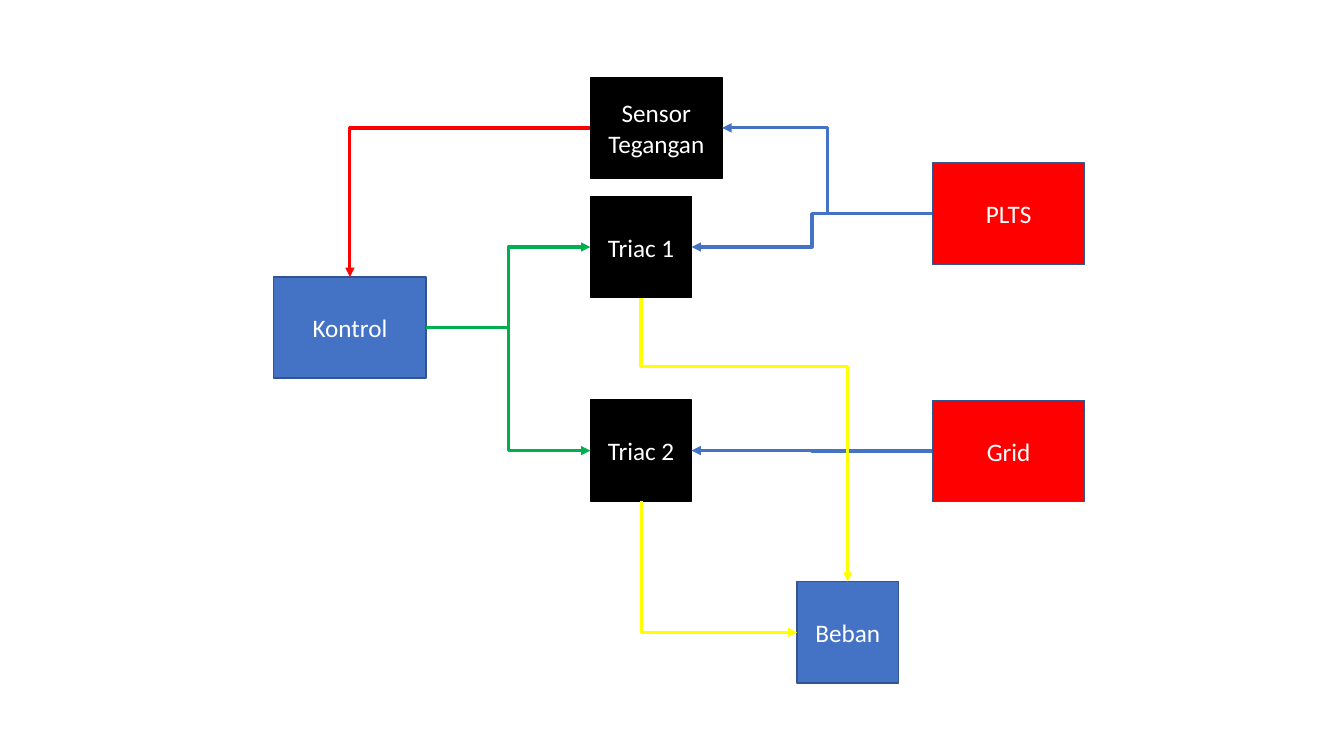
from lxml.etree import SubElement
from pptx import Presentation
from pptx.dml.color import RGBColor
from pptx.enum.shapes import MSO_CONNECTOR, MSO_SHAPE
from pptx.enum.text import MSO_ANCHOR, PP_ALIGN
from pptx.oxml.ns import qn
from pptx.util import Cm, Pt

BLUE, NAVY, BLACK, RED = "4472C4", "325491", "000000", "FF0000"
GREEN, YELLOW, WHITE = "00B050", "FFFF00", "FFFFFF"
SIDE, WIDE = 2.55, 3.84
TRIAC_LEFT, SOURCE_LEFT = 14.88, 23.5

# label: left, top, width (cm), fill, outline
BLOCKS = {
    "Kontrol": (6.9, 6.98, WIDE, BLUE, NAVY),
    "Triac 1": (TRIAC_LEFT, 4.95, SIDE, BLACK, BLACK),
    "Triac 2": (TRIAC_LEFT, 10.08, SIDE, BLACK, BLACK),
    "Sensor Tegangan": (TRIAC_LEFT, 1.95, 3.32, BLACK, BLACK),
    "Grid": (SOURCE_LEFT, 10.09, WIDE, RED, NAVY),
    "PLTS": (SOURCE_LEFT, 4.11, WIDE, RED, NAVY),
    "Beban": (20.09, 14.66, SIDE, BLUE, NAVY),
}

# from, side, to, side, colour, position of the middle bend (None: halfway)
WIRES = [
    ("PLTS", "left", "Triac 1", "right", BLUE, None),
    ("PLTS", "left", "Sensor Tegangan", "right", BLUE, None),
    ("Grid", "left", "Triac 2", "right", BLUE, None),
    ("Kontrol", "right", "Triac 1", "left", GREEN, None),
    ("Kontrol", "right", "Triac 2", "left", GREEN, None),
    ("Sensor Tegangan", "left", "Kontrol", "top", RED, None),
    ("Triac 1", "bottom", "Beban", "top", YELLOW, 0.243),
    ("Triac 2", "bottom", "Beban", "left", YELLOW, None),
]
SIDES = ["top", "left", "bottom", "right"]  # order of a rectangle's connection sites
UPRIGHT = ("top", "bottom")


def color(hex_code):
    return RGBColor.from_string(hex_code)


def add_block(page, label, left, top, width, fill, outline):
    box = page.shapes.add_shape(MSO_SHAPE.RECTANGLE, Cm(left), Cm(top), Cm(width), Cm(SIDE))
    box.shadow.inherit = False
    box.fill.solid()
    box.fill.fore_color.rgb = color(fill)
    box.line.color.rgb = color(outline)
    box.line.width = Pt(1)
    frame = box.text_frame
    frame.word_wrap = True
    frame.vertical_anchor = MSO_ANCHOR.MIDDLE
    para = frame.paragraphs[0]
    para.alignment = PP_ALIGN.CENTER
    span = para.add_run()
    span.text = label
    span.font.name = "Calibri"
    span.font.size = Pt(18)
    span.font.color.rgb = color(WHITE)
    return box


def side_point(box, side):
    """Return the middle of one side of a box."""
    x = {"left": box.left, "right": box.left + box.width}.get(side, box.left + box.width // 2)
    y = {"top": box.top, "bottom": box.top + box.height}.get(side, box.top + box.height // 2)
    return x, y


def start_downward(wire, start, end):
    """Turn an elbow so that it leaves downwards and then runs right."""
    run, drop = end[0] - start[0], end[1] - start[1]
    wire.left = (start[0] + end[0] - drop) // 2
    wire.top = (start[1] + end[1] - run) // 2
    wire.width, wire.height = drop, run
    turn = wire.element.spPr.find(qn("a:xfrm"))
    turn.set("rot", str(270 * 60000))
    turn.set("flipH", "1")


def add_wire(page, source, source_side, target, target_side, hex_code, bend):
    start, end = side_point(source, source_side), side_point(target, target_side)
    wire = page.shapes.add_connector(MSO_CONNECTOR.ELBOW, *start, *end)
    wire.begin_connect(source, SIDES.index(source_side))
    wire.end_connect(target, SIDES.index(target_side))
    wire.line.color.rgb = color(hex_code)
    wire.line.width = Pt(2.25)
    if source_side in UPRIGHT:
        start_downward(wire, start, end)
    properties = wire.element.spPr
    geometry = properties.find(qn("a:prstGeom"))
    if (source_side in UPRIGHT) != (target_side in UPRIGHT):
        geometry.set("prst", "bentConnector2")
    if bend is not None:
        guide = SubElement(geometry.find(qn("a:avLst")), qn("a:gd"))
        guide.set("name", "adj1")
        guide.set("fmla", f"val {round(bend * 100000)}")
    SubElement(properties.find(qn("a:ln")), qn("a:tailEnd")).set("type", "triangle")
    SubElement(properties, qn("a:effectLst"))


def main():
    deck = Presentation()
    deck.slide_width, deck.slide_height = Cm(33.87), Cm(19.05)
    page = deck.slides.add_slide(deck.slide_layouts[6])
    boxes = {label: add_block(page, label, *block) for label, block in BLOCKS.items()}
    for source, source_side, target, target_side, hex_code, bend in WIRES:
        add_wire(page, boxes[source], source_side, boxes[target], target_side, hex_code, bend)
    deck.save("out.pptx")


if __name__ == "__main__":
    main()
